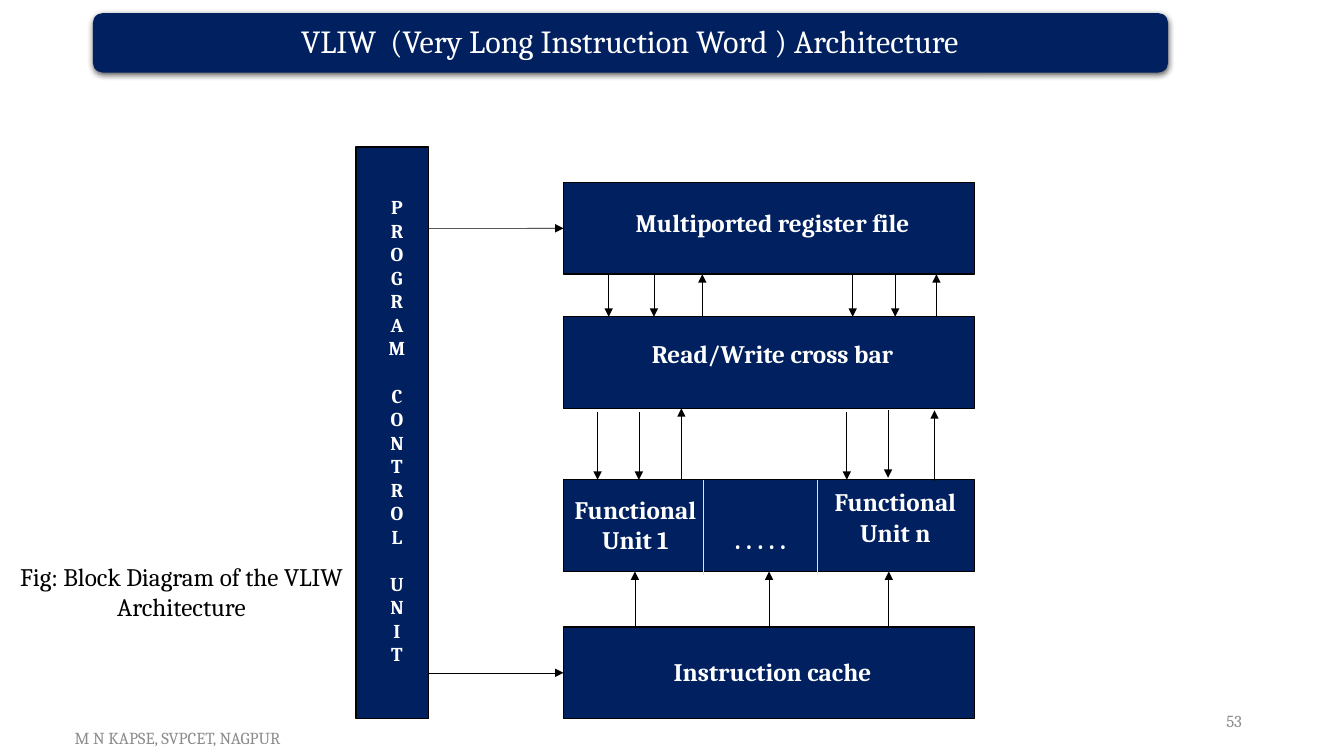
import pptx
import pptx.util
import pptx.dml.color
import pptx.enum.shapes
import pptx.enum.text
import lxml.etree

Cm = pptx.util.Cm
Pt = pptx.util.Pt
Align = pptx.enum.text.PP_ALIGN
Anchor = pptx.enum.text.MSO_ANCHOR
Shape = pptx.enum.shapes.MSO_SHAPE
color = pptx.dml.color.RGBColor.from_string
qn = pptx.oxml.ns.qn

NAVY, BLACK, WHITE, GRAY = "002060", "000000", "FFFFFF", "8C8C8C"

deck = pptx.Presentation()
deck.slide_width, deck.slide_height = Cm(33.87), Cm(19.05)
slide = deck.slides.add_slide(deck.slide_layouts[5])
shapes = slide.shapes


def write(text, place, box=None, size=18, bold=False, ink=WHITE,
          align=Align.CENTER, anchor=Anchor.TOP):
    """Put text in the given box, or in a new text box, at place (cm)."""
    place = [Cm(n) for n in place]
    box = box or shapes.add_textbox(*place)
    box.left, box.top, box.width, box.height = place
    frame = box.text_frame
    frame.text = text
    frame.word_wrap = True
    frame.auto_size = pptx.enum.text.MSO_AUTO_SIZE.NONE
    frame.vertical_anchor = anchor
    for para in frame.paragraphs:
        para.alignment = align
        font = para.font
        font.name, font.size, font.bold = "Cambria", Pt(size), bold
        font.color.rgb = color(ink)
    return frame


def draw(x1, y1, x2, y2, ink=BLACK, head=True):
    """Draw a thin line (cm), with an arrowhead at its end if head is set."""
    line = shapes.add_connector(pptx.enum.shapes.MSO_CONNECTOR.STRAIGHT,
                                Cm(x1), Cm(y1), Cm(x2), Cm(y2))
    line.line.color.rgb = color(ink)
    line.line.width = Pt(0.5)
    if head:
        lxml.etree.SubElement(line.line._get_or_add_ln(), qn("a:tailEnd"),
                              type="triangle")
    lxml.etree.SubElement(line._element.spPr, qn("a:effectLst"))
    return line


# Title bar with a soft shadow
bar = shapes.add_shape(Shape.ROUNDED_RECTANGLE,
                       Cm(2.34), Cm(0.33), Cm(27.1), Cm(1.5))
bar.fill.solid()
bar.fill.fore_color.rgb = color(NAVY)
bar.line.fill.background()
bar.shadow.inherit = False
glow = lxml.etree.SubElement(
    bar._element.spPr.find(qn("a:effectLst")), qn("a:outerShdw"),
    blurRad="57150", dist="19050", dir="5400000", rotWithShape="0")
tone = lxml.etree.SubElement(glow, qn("a:srgbClr"), val=BLACK)
lxml.etree.SubElement(tone, qn("a:alpha"), val="63000")

title = shapes.title
shapes._spTree.append(title._element)
head = write("VLIW  (Very Long Instruction Word ) Architecture",
             (2.41, 0.41, 26.95, 1.35), box=title, size=23, anchor=Anchor.MIDDLE)
head.paragraphs[0].line_spacing = 0.9

# Blocks
LEFT, WIDE, HIGH = 14.2, 10.36, 2.31
FILE, CROSS, UNITS, CACHE = 4.6, 7.98, 12.09, 15.8
SIDE = 10.8
blocks = {}
for x, y, w, h in [(8.97, 3.71, 1.83, 14.4)] + [
        (LEFT, top, WIDE, HIGH) for top in (FILE, CROSS, UNITS, CACHE)]:
    block = shapes.add_shape(Shape.RECTANGLE, Cm(x), Cm(y), Cm(w), Cm(h))
    block.fill.solid()
    block.fill.fore_color.rgb = color(NAVY)
    block.line.color.rgb = color(BLACK)
    block.line.width = Pt(1)
    block.shadow.inherit = False
    blocks[y] = block

# Control lines
for top in (FILE, CACHE):
    mid = top + HIGH / 2
    draw(SIDE, mid, LEFT, mid).end_connect(blocks[top], 1)

# Register file and cross bar
for x in (15.34, 16.48, 21.49, 22.56):
    draw(x, FILE + HIGH, x, CROSS)
for x in (17.7, 23.6):
    draw(x, CROSS, x, FILE + HIGH)

# Cross bar and functional units
for x, y1, y2 in [(15.06, 10.39, UNITS), (16.1, 10.39, UNITS),
                  (21.34, 10.39, UNITS), (22.38, 10.34, 12.04),
                  (17.17, UNITS, CROSS + HIGH), (23.55, 12.12, 10.34)]:
    draw(x, y1, x, y2)

# Cache and functional units
for x in (16, 22.4):
    draw(x, CACHE, x, UNITS + HIGH)
feed = draw(LEFT + WIDE / 2, CACHE, LEFT + WIDE / 2, UNITS + HIGH)
feed.begin_connect(blocks[CACHE], 0)
feed.end_connect(blocks[UNITS], 2)

for x in (17.73, 20.6):
    draw(x, UNITS, x, 14.5, ink="FFFF00", head=False)

# Block labels
for text, place in [
        ("Multiported register file", (15.34, 5.11, 8.26, 1.07)),
        ("Read/Write cross bar", (15.34, 8.41, 8.26, 1.07)),
        ("Functional\nUnit 1", (13.82, 12.32, 4.39, 1.88)),
        (". . . . .", (16.97, 13.08, 4.39, 1.07)),
        ("Functional\nUnit n", (20.57, 12.14, 3.99, 1.88)),
        ("Instruction cache", (15.34, 16.41, 8.26, 1.07))]:
    write(text, place, bold=True)

tall = write("PROGRAM CONTROL UNIT", (9.65, 3.71, 0.71, 14.4),
             size=14, bold=True, anchor=Anchor.MIDDLE)
tall.margin_left = tall.margin_right = tall.margin_top = 0
tall._txBody.bodyPr.set("vert", "wordArtVert")

# Caption and footer
write("Fig: Block Diagram of the VLIW Architecture",
      (-0.48, 14.02, 10.11, 1.8), ink=BLACK)
write("M N KAPSE, SVPCET, NAGPUR", (-1.24, 18.08, 11.43, 1.02),
      size=12, ink=GRAY, anchor=Anchor.MIDDLE)
write("53", (23.93, 17.65, 7.62, 1.02), size=12, ink=GRAY,
      align=Align.RIGHT, anchor=Anchor.MIDDLE)

deck.save("out.pptx")
